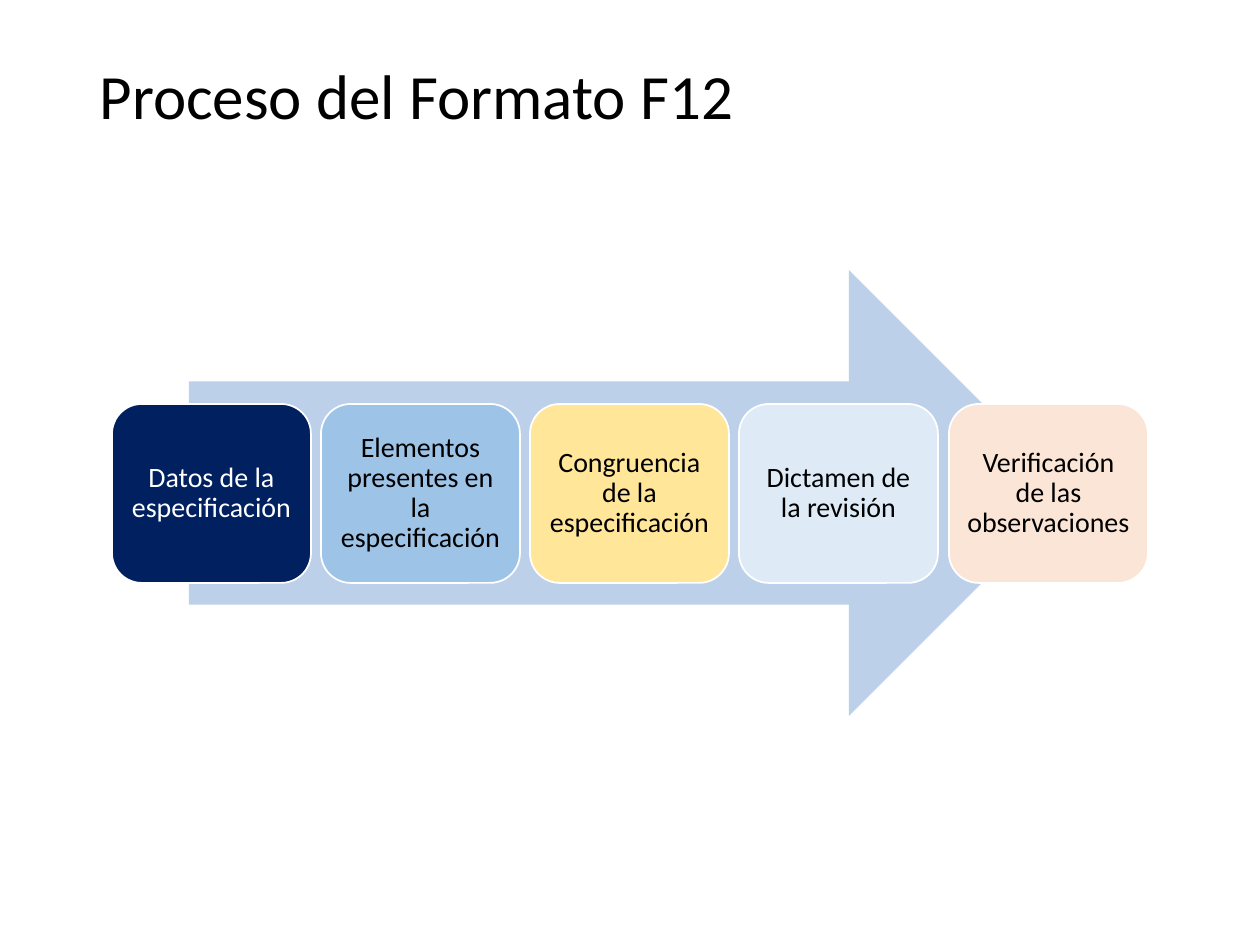
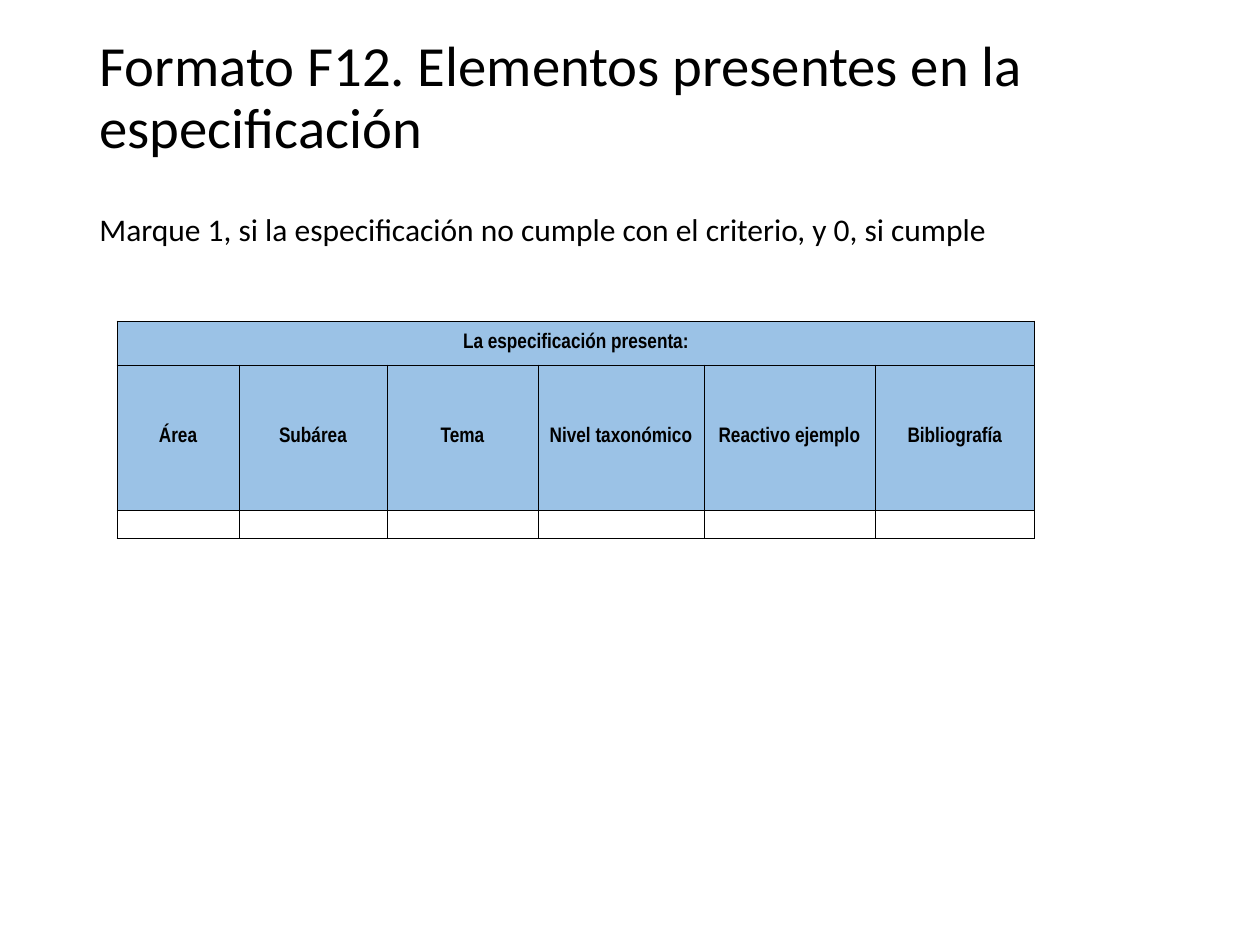
import lxml.etree
import pptx
import pptx.dml.color
import pptx.enum.shapes
import pptx.enum.text
import pptx.oxml.ns
import pptx.util

RGB = pptx.dml.color.RGBColor
SHAPE = pptx.enum.shapes.MSO_SHAPE
ALIGN = pptx.enum.text.PP_ALIGN
ANCHOR = pptx.enum.text.MSO_ANCHOR

BLACK = RGB(0x00, 0x00, 0x00)
WHITE = RGB(0xFF, 0xFF, 0xFF)
ARROW = RGB(0xBD, 0xD0, 0xE9)
NAVY = RGB(0x00, 0x20, 0x60)
BLUE = RGB(0x9D, 0xC3, 0xE6)
YELLOW = RGB(0xFF, 0xE6, 0x99)
PALE = RGB(0xDE, 0xEB, 0xF7)
PEACH = RGB(0xFB, 0xE5, 0xD6)
HEADER = RGB(0x9B, 0xC2, 0xE6)

SCALE = 914400 // 126

STEPS = [
    ("Datos de la especificación", NAVY, WHITE),
    ("Elementos presentes en la especificación", BLUE, BLACK),
    ("Congruencia de la especificación", YELLOW, BLACK),
    ("Dictamen de la revisión", PALE, BLACK),
    ("Verificación de las observaciones", PEACH, BLACK),
]
FIELDS = ["Área", "Subárea", "Tema", "Nivel taxonómico",
          "Reactivo ejemplo", "Bibliografía"]
WIDTHS = [122, 148, 151, 166, 171, 160]
HEIGHTS = [44, 145, 29]


def px(*sizes):
    return [pptx.util.Emu(size * SCALE) for size in sizes]


def write(frame, text, size, color=BLACK, font="Calibri", bold=False,
          align=ALIGN.LEFT, anchor=ANCHOR.MIDDLE, spacing=None, inset=None):
    """Fill a text frame with one paragraph; inset is in px."""
    frame.word_wrap = True
    frame.vertical_anchor = anchor
    if inset is not None:
        (frame.margin_left, frame.margin_top, frame.margin_right,
         frame.margin_bottom) = px(inset, inset, inset, inset)
    line = frame.paragraphs[0]
    line.alignment = align
    line.line_spacing = spacing
    run = line.add_run()
    run.text = text
    run.font.size = pptx.util.Pt(size)
    run.font.name = font
    run.font.bold = bold
    run.font.color.rgb = color


def add_page(deck, title, size):
    page = deck.slides.add_slide(deck.slide_layouts[5])
    head = page.shapes.title
    head.left, head.top, head.width, head.height = px(87, 50, 1086, 98)
    write(head.text_frame, title, size, spacing=0.9)
    head.text_frame.auto_size = pptx.enum.text.MSO_AUTO_SIZE.NONE
    return page


def add_block(page, kind, box, fill, line=None):
    block = page.shapes.add_shape(kind, *px(*box))
    block.shadow.inherit = False
    block.fill.solid()
    block.fill.fore_color.rgb = fill
    if line is None:
        block.line.fill.background()
    else:
        block.line.color.rgb = line
        block.line.width = pptx.util.Pt(1)
    return block


def add_step(page, index, text, fill, color):
    left = 112 + 837 * index // (len(STEPS) - 1)
    step = add_block(page, SHAPE.ROUNDED_RECTANGLE, (left, 404, 199, 179),
                     fill, WHITE)
    write(step.text_frame, text, 16, color, align=ALIGN.CENTER,
          spacing=0.9, inset=9)


def add_border(cell):
    props = cell._tc.get_or_add_tcPr()
    name = pptx.oxml.ns.qn
    for side in ("a:lnL", "a:lnR", "a:lnT", "a:lnB"):
        edge = lxml.etree.SubElement(props, name(side), w="6350")
        fill = lxml.etree.SubElement(edge, name("a:solidFill"))
        lxml.etree.SubElement(fill, name("a:srgbClr"), val=str(BLACK))


def fill_cell(cell, text):
    add_border(cell)
    cell.margin_left = cell.margin_right = 0
    cell.margin_top = cell.margin_bottom = 0
    cell.vertical_anchor = ANCHOR.MIDDLE
    if text is None:
        cell.fill.background()
        end = cell.text_frame.paragraphs[0]._p.get_or_add_endParaRPr()
        end.set("sz", "1200")
        return
    cell.fill.solid()
    cell.fill.fore_color.rgb = HEADER
    if text:
        write(cell.text_frame, text, 12, font="Arial Narrow", bold=True,
              align=ALIGN.CENTER)


def add_grid(page):
    count = len(FIELDS)
    box = px(117, 321, sum(WIDTHS), sum(HEIGHTS))
    table = page.shapes.add_table(len(HEIGHTS), count, *box).table
    table.first_row = table.horz_banding = False
    for column, width in zip(table.columns, px(*WIDTHS)):
        column.width = width
    for row, height in zip(table.rows, px(*HEIGHTS)):
        row.height = height
    table.cell(0, 0).merge(table.cell(0, count - 1))
    title = ["La especificación presenta:"] + [""] * (count - 1)
    for row, texts in zip(table.rows, [title, FIELDS, [None] * count]):
        for cell, text in zip(row.cells, texts):
            fill_cell(cell, text)


def main():
    deck = pptx.Presentation()
    deck.slide_width, deck.slide_height = px(1260, 945)

    flow = add_page(deck, "Proceso del Formato F12", 36)
    add_block(flow, SHAPE.RIGHT_ARROW, (189, 270, 883, 446), ARROW)
    for index, step in enumerate(STEPS):
        add_step(flow, index, *step)

    form = add_page(
        deck, "Formato F12. Elementos presentes en la especificación", 32.4)
    add_grid(form)
    note = form.shapes.add_textbox(*px(87, 204, 1086, 50))
    write(note.text_frame, "Marque 1, si la especificación no cumple con el "
          "criterio, y 0, si cumple", 18, anchor=ANCHOR.TOP)

    deck.save("out.pptx")


if __name__ == "__main__":
    main()
